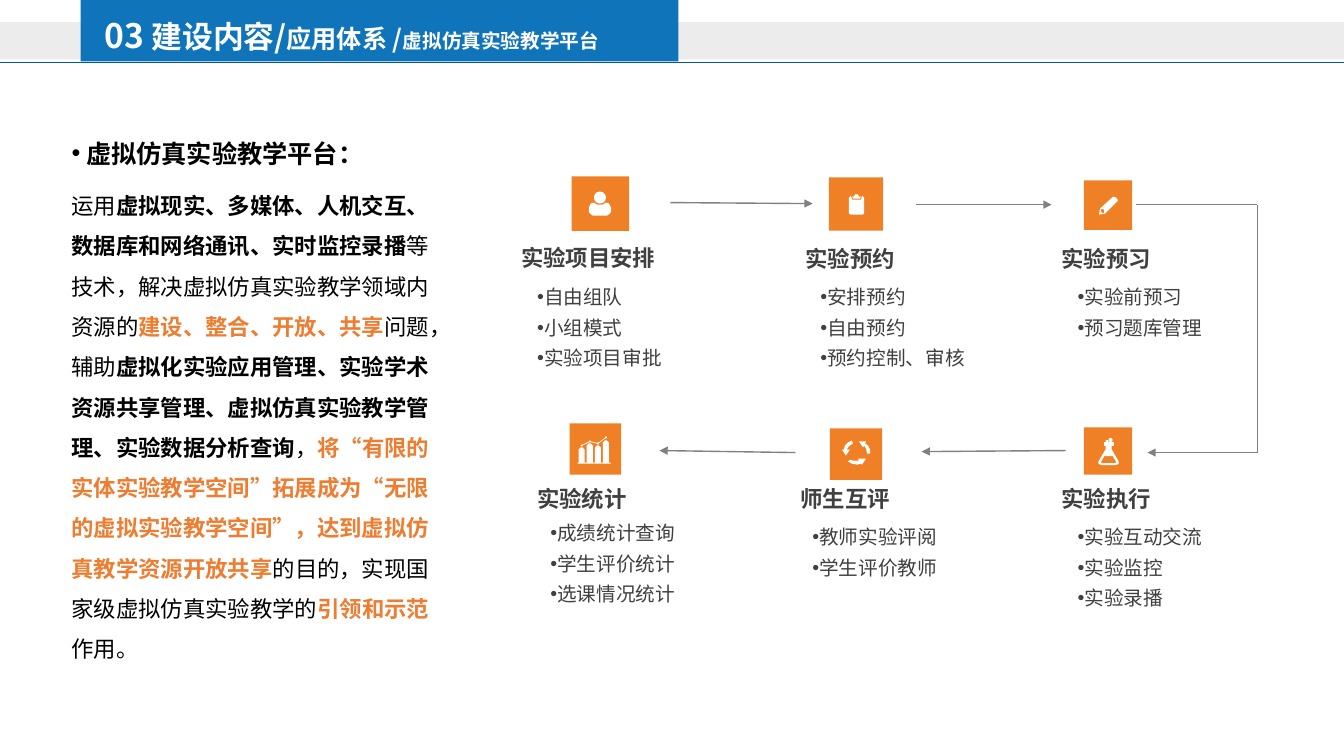
from dataclasses import dataclass

from lxml.etree import SubElement
from pptx import Presentation
from pptx.dml.color import RGBColor
from pptx.enum.shapes import MSO_CONNECTOR, MSO_SHAPE
from pptx.enum.text import MSO_ANCHOR, MSO_AUTO_SIZE, PP_ALIGN
from pptx.oxml.ns import qn
from pptx.util import Inches, Pt


@dataclass(frozen=True)
class Theme:
    font: str = "Noto Sans CJK SC"
    white: str = "FFFFFF"
    black: str = "000000"
    blue: str = "1074BB"
    rule: str = "015A92"
    band: str = "ECECEC"
    tile: str = "F08025"
    accent: str = "ED7D31"
    gray: str = "404040"
    arrow: str = "808080"
    heading: int = 18
    body: int = 16
    item: int = 14


THEME = Theme()

TITLE = [("03", 24), (" 建设内容/", 22), ("应用体系 /", 18), ("虚拟仿真实验教学平台", 14)]
HEADING = " 虚拟仿真实验教学平台："
PLAIN, STRONG, ACCENT = (THEME.black, False), (THEME.black, True), (THEME.accent, True)
BODY = [
    ("运用", PLAIN),
    ("虚拟现实、多媒体、人机交互、数据库和网络通讯、实时监控录播", STRONG),
    ("等技术，解决虚拟仿真实验教学领域内资源的", PLAIN),
    ("建设、整合、开放、共享", ACCENT),
    ("问题，辅助", PLAIN),
    ("虚拟化实验应用管理、实验学术资源共享管理、虚拟仿真实验教学管理、实验数据分析查询", STRONG),
    ("，", PLAIN),
    ("将“有限的实体实验教学空间”拓展成为“无限的虚拟实验教学空间”，达到虚拟仿真教学资源开放共享", ACCENT),
    ("的目的，实现国家级虚拟仿真实验教学的", PLAIN),
    ("引领和示范", ACCENT),
    ("作用。", PLAIN),
]

STEPS = [
    ("实验项目安排", (5.07, 2.29), 1.3, (5.07, 2.71), ["自由组队", "小组模式", "实验项目审批"],
     (5.67, 1.75, 0.57, 0.54)),
    ("实验预约", (7.89, 2.3), 1.3, (7.88, 2.71), ["安排预约", "自由预约", "预约控制、审核"],
     (8.22, 1.76, 0.54, 0.53)),
    ("实验预习", (10.43, 2.3), 1.3, (10.43, 2.71), ["实验前预习", "预习题库管理"],
     (10.75, 1.79, 0.48, 0.49)),
    ("实验执行", (10.43, 4.76), 1, (10.43, 5.09), ["实验互动交流", "实验监控", "实验录播"],
     (10.75, 4.24, 0.48, 0.47)),
    ("师生互评", (7.84, 4.76), 1, (7.8, 5.09), ["教师实验评阅", "学生评价教师"],
     (8.23, 4.25, 0.52, 0.51)),
    ("实验统计", (5.23, 4.76), 1, (5.2, 5.05), ["成绩统计查询", "学生评价统计", "选课情况统计"],
     (5.65, 4.2, 0.51, 0.51)),
]

ARROWS = [
    (6.65, 2.01, 8.06, 2.02, True),
    (9.09, 2.03, 10.43, 2.03, True),
    (11.27, 2.03, 12.47, 2.03, False),
    (12.47, 2.03, 12.47, 4.49, False),
    (12.47, 4.49, 11.38, 4.49, True),
    (10.57, 4.47, 9.14, 4.48, True),
    (7.89, 4.49, 6.54, 4.47, True),
]

BARS = [(5.74, 4.44), (5.82, 4.4), (5.9, 4.42), (5.98, 4.37)]
BAR_WIDTH, BAR_BASE = 0.06, 4.59
TREND = [(5.77, 4.42), (5.85, 4.38), (5.93, 4.4), (6.01, 4.34)]

PERSON = [(5.84, 2.1), (5.84, 2.06), (5.86, 2.02), (5.89, 2.01), (5.92, 2.03), (5.95, 2.03),
          (5.98, 2.03), (6.01, 2.01), (6.04, 2.02), (6.06, 2.06), (6.06, 2.1), (6.05, 2.12),
          (6.02, 2.14), (5.88, 2.14), (5.85, 2.12)]
CLIPBOARD = [(8.55, 1.94), (8.54, 1.98), (8.45, 1.98), (8.44, 1.94), (8.42, 1.96), (8.42, 2.12),
             (8.44, 2.13), (8.55, 2.13), (8.57, 2.12), (8.57, 1.96)]
CLIP = [(8.53, 1.97), (8.54, 1.95), (8.52, 1.95), (8.51, 1.93), (8.48, 1.93), (8.47, 1.95),
        (8.45, 1.95), (8.46, 1.97)]
PENCIL = [(11.07, 1.96), (11.04, 1.95), (10.91, 2.07), (10.9, 2.13), (10.96, 2.12), (11.09, 1.99)]
PENCIL_TIP = [(10.95, 2.11), (10.94, 2.12), (10.92, 2.1), (10.92, 2.08), (10.93, 2.07), (10.95, 2.08)]
FLASK = [(11.09, 4.58), (11.02, 4.46), (11.02, 4.41), (10.97, 4.41), (10.97, 4.46), (10.9, 4.58),
         (10.9, 4.6), (10.93, 4.61), (11.06, 4.61), (11.09, 4.6)]
FLASK_LIQUID = [(11.08, 4.59), (11.06, 4.6), (10.93, 4.6), (10.91, 4.59), (10.95, 4.52), (11.04, 4.52)]
FLASK_RIM = [(10.95, 4.42), (10.95, 4.39), (11.04, 4.39), (11.04, 4.42)]
CYCLE = [
    [(8.4, 4.46), (8.41, 4.44), (8.43, 4.42), (8.46, 4.4), (8.45, 4.37), (8.41, 4.39), (8.38, 4.42),
     (8.37, 4.46), (8.35, 4.46), (8.39, 4.52), (8.43, 4.46)],
    [(8.52, 4.57), (8.5, 4.57), (8.46, 4.57), (8.43, 4.56), (8.41, 4.58), (8.45, 4.6), (8.5, 4.61),
     (8.54, 4.6), (8.55, 4.61), (8.59, 4.55), (8.51, 4.55)],
    [(8.58, 4.4), (8.59, 4.38), (8.52, 4.38), (8.56, 4.44), (8.57, 4.42), (8.59, 4.45), (8.6, 4.5),
     (8.63, 4.5), (8.63, 4.46), (8.61, 4.42)],
]
ICONS = [([PERSON], 0), ([CLIPBOARD], 0), ([CLIP], 0), ([PENCIL, PENCIL_TIP], 0),
         ([FLASK, FLASK_LIQUID], 0.75), ([FLASK_RIM], 0.75), (CYCLE, 0)]
DOTS = [(5.89, 1.9, 0.12, 0.12, 0), (11, 4.35, 0.03, 0.03, 0.75), (10.97, 4.37, 0.02, 0.01, 0.75)]


def color(value):
    return RGBColor.from_string(value)


def paint(shape, fill, line_width=0):
    shape.shadow.inherit = False
    shape.fill.solid()
    shape.fill.fore_color.rgb = color(fill)
    if line_width:
        shape.line.color.rgb = color(fill)
        shape.line.width = Pt(line_width)
    else:
        shape.line.fill.background()


def add_preset(slide, kind, box, fill, line_width=0):
    paint(slide.shapes.add_shape(kind, *map(Inches, box)), fill, line_width)


def add_outline(slide, contours, line_width=0):
    scaled = [[(Inches(x), Inches(y)) for x, y in contour] for contour in contours]
    builder = slide.shapes.build_freeform(*scaled[0][0])
    for index, contour in enumerate(scaled):
        if index:
            builder.move_to(*contour[0])
        builder.add_line_segments(contour[1:], close=True)
    paint(builder.convert_to_shape(), THEME.white, line_width)


def add_line(slide, ends, line_color, width, arrow=False):
    line = slide.shapes.add_connector(MSO_CONNECTOR.STRAIGHT, *map(Inches, ends))
    line.line.color.rgb = color(line_color)
    line.line.width = Pt(width)
    if arrow:
        SubElement(line.line._get_or_add_ln(), qn("a:tailEnd"), type="triangle")
    SubElement(line._element.spPr, qn("a:effectLst"))


def set_font(target, size, text_color, bold):
    font = target.font
    font.size, font.bold, font.name = Pt(size), bold, THEME.font
    font.color.rgb = color(text_color)
    SubElement(font._rPr, qn("a:ea"), typeface=THEME.font)


def set_bullet(paragraph, indent, character=None):
    properties = paragraph._p.get_or_add_pPr()
    properties.set("marL", "0")
    properties.set("indent", str(Inches(indent)))
    if character:
        SubElement(properties, qn("a:buFont"), typeface="Arial")
        SubElement(properties, qn("a:buChar"), char=character)
    else:
        SubElement(properties, qn("a:buNone"))


def prepare_frame(shape, box):
    shape.left, shape.top, shape.width, shape.height = map(Inches, box)
    frame = shape.text_frame
    frame.word_wrap = True
    frame.auto_size = MSO_AUTO_SIZE.NONE
    frame.vertical_anchor = MSO_ANCHOR.TOP
    return frame


def add_paragraphs(slide, box, lines, size, bold, spacing, bulleted=False):
    frame = prepare_frame(slide.shapes.add_textbox(0, 0, 0, 0), box)
    for index, line in enumerate(lines):
        paragraph = frame.add_paragraph() if index else frame.paragraphs[0]
        paragraph.text = line
        paragraph.line_spacing = spacing
        if bulleted:
            paragraph.alignment = PP_ALIGN.JUSTIFY
            set_bullet(paragraph, 0.16, "•")
        set_font(paragraph, size, THEME.gray, bold)


def add_run(paragraph, text, size, text_color, bold):
    run = paragraph.add_run()
    run.text = text
    set_font(run, size, text_color, bold)


def fill_title(slide):
    title = slide.shapes.title
    slide.shapes._spTree.append(title._element)
    paragraph = prepare_frame(title, (0.94, 0.14, 5.79, 0.48)).paragraphs[0]
    paragraph.alignment = PP_ALIGN.LEFT
    paragraph.line_spacing = 0.9
    for text, size in TITLE:
        add_run(paragraph, text, size, THEME.white, True)


def fill_body(slide):
    frame = prepare_frame(slide.placeholders[1], (0.61, 1.17, 3.79, 5.51))
    heading, description = frame.paragraphs[0], frame.add_paragraph()
    heading.text = HEADING
    heading.space_before, description.space_before = Pt(0), Pt(7.5)
    heading.line_spacing = description.line_spacing = 1.5
    set_bullet(heading, 0, "•")
    set_bullet(description, 0)
    set_font(heading, THEME.heading, THEME.black, True)
    for text, (text_color, bold) in BODY:
        add_run(description, text, THEME.body, text_color, bold)


def add_bar_chart_icon(slide):
    skyline = [(5.73, BAR_BASE)]
    for x, top in BARS:
        right = x + BAR_WIDTH
        skyline += [(x, BAR_BASE), (x, top + 0.02), (x + 0.02, top), (right - 0.02, top),
                    (right, top + 0.02), (right, BAR_BASE)]
    skyline += [(6.06, BAR_BASE), (6.06, 4.6), (5.73, 4.6)]
    add_outline(slide, [skyline])
    for start, end in zip(TREND, TREND[1:]):
        add_line(slide, start + end, THEME.white, 0.5)
    for x, y in TREND:
        add_preset(slide, MSO_SHAPE.OVAL, (x - 0.01, y - 0.01, 0.02, 0.02), THEME.white)


def main():
    presentation = Presentation()
    presentation.slide_width, presentation.slide_height = Inches(13.33), Inches(7.5)
    slide = presentation.slides.add_slide(presentation.slide_layouts[1])
    add_preset(slide, MSO_SHAPE.RECTANGLE, (0, 0.22, 13.33, 0.37), THEME.band)
    add_line(slide, (0, 0.62, 13.33, 0.62), THEME.rule, 0.75)
    add_preset(slide, MSO_SHAPE.RECTANGLE, (0.8, 0, 5.93, 0.61), THEME.blue)
    fill_title(slide)
    fill_body(slide)
    for *ends, arrow in ARROWS:
        add_line(slide, ends, THEME.arrow, 1, arrow)
    for name, name_at, spacing, list_at, items, tile in STEPS:
        add_preset(slide, MSO_SHAPE.RECTANGLE, tile, THEME.tile)
        add_paragraphs(slide, (*name_at, 1.89, 0.5), [name], THEME.body, True, spacing)
        add_paragraphs(slide, (*list_at, 2.26, 1.26), items, THEME.item, False, 1.3, True)
    for contours, line_width in ICONS:
        add_outline(slide, contours, line_width)
    for *box, line_width in DOTS:
        add_preset(slide, MSO_SHAPE.OVAL, box, THEME.white, line_width)
    add_bar_chart_icon(slide)
    presentation.save("out.pptx")


if __name__ == "__main__":
    main()
